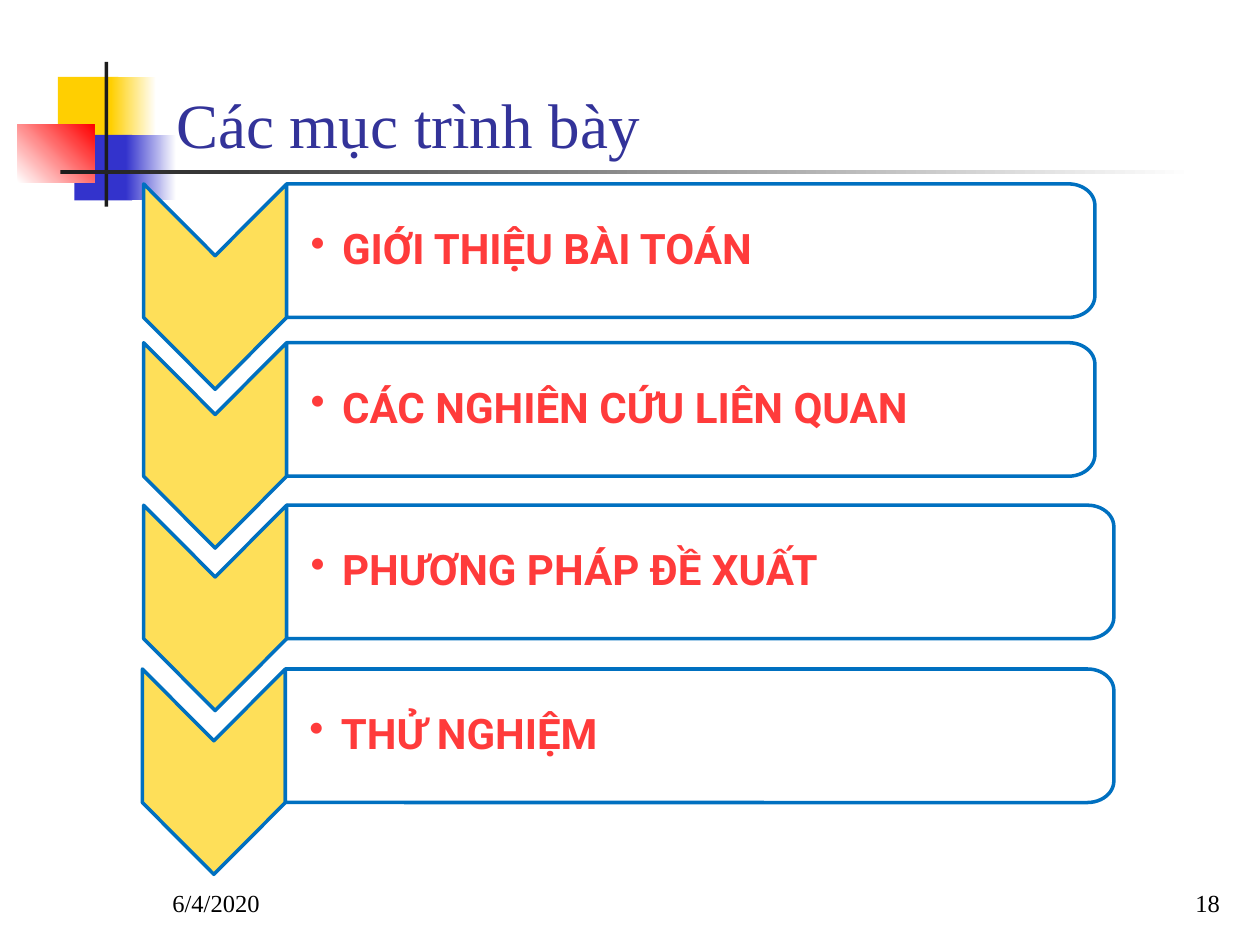
"""Builds the agenda slide with four chevron steps."""
import math
from lxml import etree
from pptx import Presentation
from pptx import util as u
from pptx.dml.color import RGBColor
from pptx.enum import shapes, text
from pptx.oxml.ns import qn

GOLD = RGBColor(0xFF, 0xCF, 0x01)
BLUE = RGBColor(0x33, 0x33, 0xCC)
RED = RGBColor(0xFF, 0x00, 0x00)
DARK = RGBColor(0x1C, 0x1C, 0x1C)
WHITE = RGBColor(0xFF, 0xFF, 0xFF)
BLACK = RGBColor(0x00, 0x00, 0x00)
NAVY = RGBColor(0x33, 0x33, 0x99)
SAND = RGBColor(0xFE, 0xDF, 0x59)
EDGE = RGBColor(0x00, 0x70, 0xC0)
CORAL = RGBColor(0xFF, 0x3B, 0x3B)
SERIF, SANS = "Times New Roman", "Roboto"

TITLE = "Các mục trình bày"
DECOR = [
    ((0.46, 0.61, 0.48, 0.52), (GOLD,), 0),
    ((0.88, 0.61, 0.36, 0.52), (GOLD, WHITE), 0),
    ((0.59, 1.07, 0.46, 0.52), (BLUE,), 0),
    ((1, 1.07, 0.4, 0.52), (BLUE, WHITE), 0),
    ((0.14, 0.99, 0.61, 0.46), (WHITE, RED), 45),
    ((0.83, 0.49, 0.03, 1.15), (DARK,), 0),
    ((0.48, 1.35, 9, 0.03), (DARK, WHITE), 0),
]
STEPS = [
    ("GIỚI THIỆU BÀI TOÁN", 1.14, 1.46, 8.69),
    ("CÁC NGHIÊN CỨU LIÊN QUAN", 1.14, 2.72, 8.69),
    ("PHƯƠNG PHÁP ĐỀ XUẤT", 1.14, 4.01, 8.84),
    ("THỬ NGHIỆM", 1.13, 5.31, 8.84),
]
FOOT = [
    ("6/4/2020", 1.27, text.PP_ALIGN.LEFT),
    ("18", 7.7, text.PP_ALIGN.RIGHT),
]
WIDE, TALL, DIP = 1.135, 1.06, 0.57
CURVE_X, CURVE_Y = 0.21, 0.17


def place(shape, box):
    shape.left, shape.top, shape.width, shape.height = map(u.Inches, box)


def write(para, words, font, size, color, bold=False):
    run = para.add_run()
    run.text = words
    run.font.name, run.font.size, run.font.bold = font, u.Pt(size), bold
    run.font.color.rgb = color


def add_block(slide, box, colors, angle):
    block = slide.shapes.add_shape(shapes.MSO_SHAPE.RECTANGLE, *map(u.Inches, box))
    block.shadow.inherit = False
    block.line.fill.background()
    if len(colors) == 1:
        block.fill.solid()
        block.fill.fore_color.rgb = colors[0]
        return
    block.fill.gradient()
    block.fill.gradient_angle = angle
    for stop, color in zip(block.fill.gradient_stops, colors):
        stop.color.rgb = color


def add_outline(slide, points, color):
    spots = [(u.Inches(x), u.Inches(y)) for x, y in points]
    pen = slide.shapes.build_freeform(*spots[0])
    pen.add_line_segments(spots[1:], close=True)
    shape = pen.convert_to_shape()
    shape.shadow.inherit = False
    shape.fill.solid()
    shape.fill.fore_color.rgb = color
    shape.line.color.rgb = EDGE
    shape.line.width = u.Pt(2)
    return shape


def add_step(slide, words, left, top, right):
    mid, edge, low = left + WIDE / 2, left + WIDE, top + TALL
    add_outline(slide, [(edge, top), (edge, low), (mid, low + DIP),
                        (left, low), (left, top), (mid, top + DIP)], SAND)

    turns = [math.radians(step * 7.5) for step in range(13)]
    upper = [(right - CURVE_X * (1 - math.sin(a)),
              top + CURVE_Y * (1 - math.cos(a))) for a in turns]
    lower = [(x, top + low - y) for x, y in reversed(upper)]
    panel = add_outline(slide, [(edge, top), *upper, *lower, (edge, low)], WHITE)
    tint = panel.fill._xPr.find(".//" + qn("a:srgbClr"))
    etree.SubElement(tint, qn("a:alpha"), val="90000")

    frame = panel.text_frame
    frame.word_wrap = True
    frame.vertical_anchor = text.MSO_ANCHOR.MIDDLE
    frame.margin_left = u.Inches(0.19)
    frame.margin_top = frame.margin_right = frame.margin_bottom = u.Inches(0.07)
    para = frame.paragraphs[0]
    para.alignment = text.PP_ALIGN.LEFT
    para.level, para.line_spacing = 1, 0.9
    props = para._p.get_or_add_pPr()
    props.set("marL", str(u.Inches(0.25)))
    props.set("indent", str(-u.Inches(0.25)))
    hue = etree.SubElement(props, qn("a:buClr"))
    etree.SubElement(hue, qn("a:srgbClr"), val=str(CORAL))
    etree.SubElement(props, qn("a:buChar"), char="•")
    write(para, words, SANS, 24, CORAL, True)


def main():
    deck = Presentation()
    deck.slide_width, deck.slide_height = u.Inches(10), u.Inches(7.5)
    slide = deck.slides.add_slide(deck.slide_layouts[5])
    for box, colors, angle in DECOR:
        add_block(slide, box, colors, angle)

    title = slide.shapes.title
    slide.shapes._spTree.append(title._element)
    place(title, (1.3, 0.23, 8.48, 1.1))
    title.text_frame.vertical_anchor = text.MSO_ANCHOR.BOTTOM
    para = title.text_frame.paragraphs[0]
    para.alignment = text.PP_ALIGN.LEFT
    write(para, TITLE, SERIF, 36, NAVY)

    for words, left, align in FOOT:
        note = slide.shapes.add_textbox(*map(u.Inches, (left, 6.83, 2.08, 0.5)))
        note.text_frame.word_wrap = True
        note.text_frame.vertical_anchor = text.MSO_ANCHOR.BOTTOM
        para = note.text_frame.paragraphs[0]
        para.alignment = align
        write(para, words, SERIF, 14, BLACK)

    for step in STEPS:
        add_step(slide, *step)
    deck.save("out.pptx")


if __name__ == "__main__":
    main()
